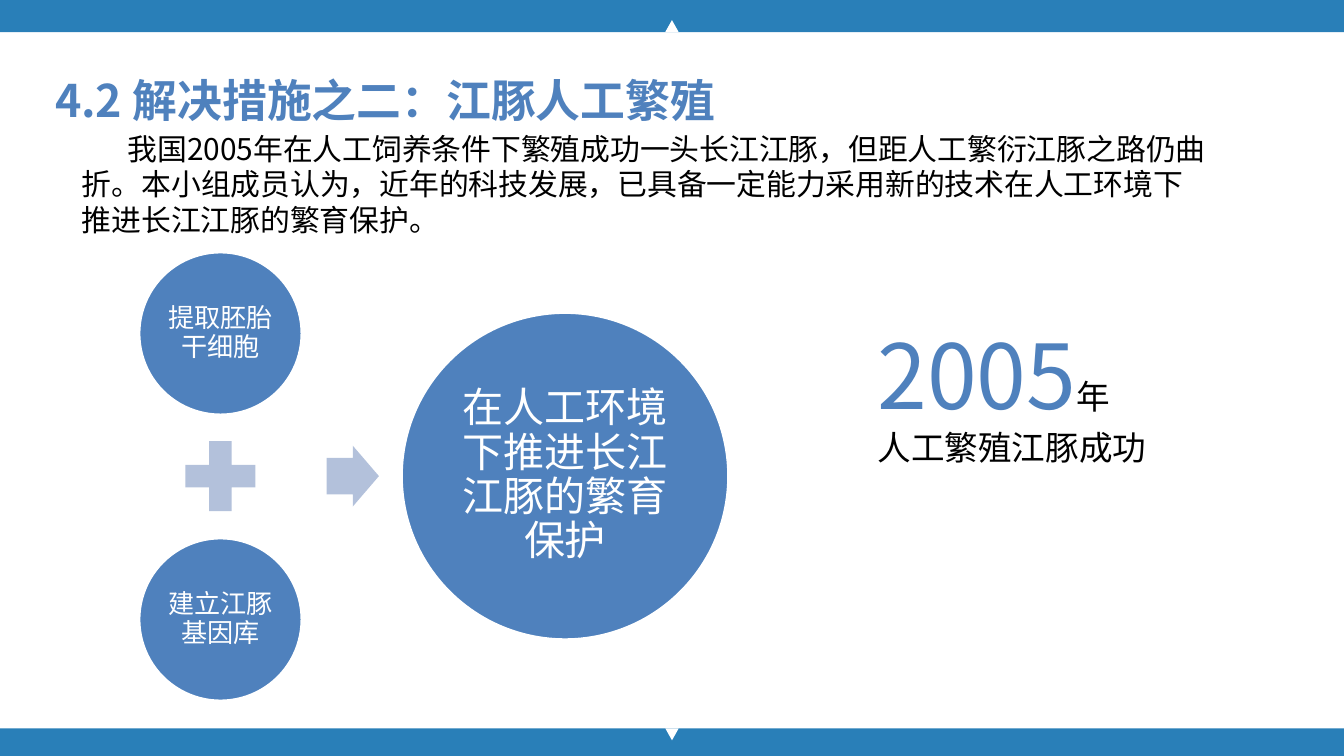
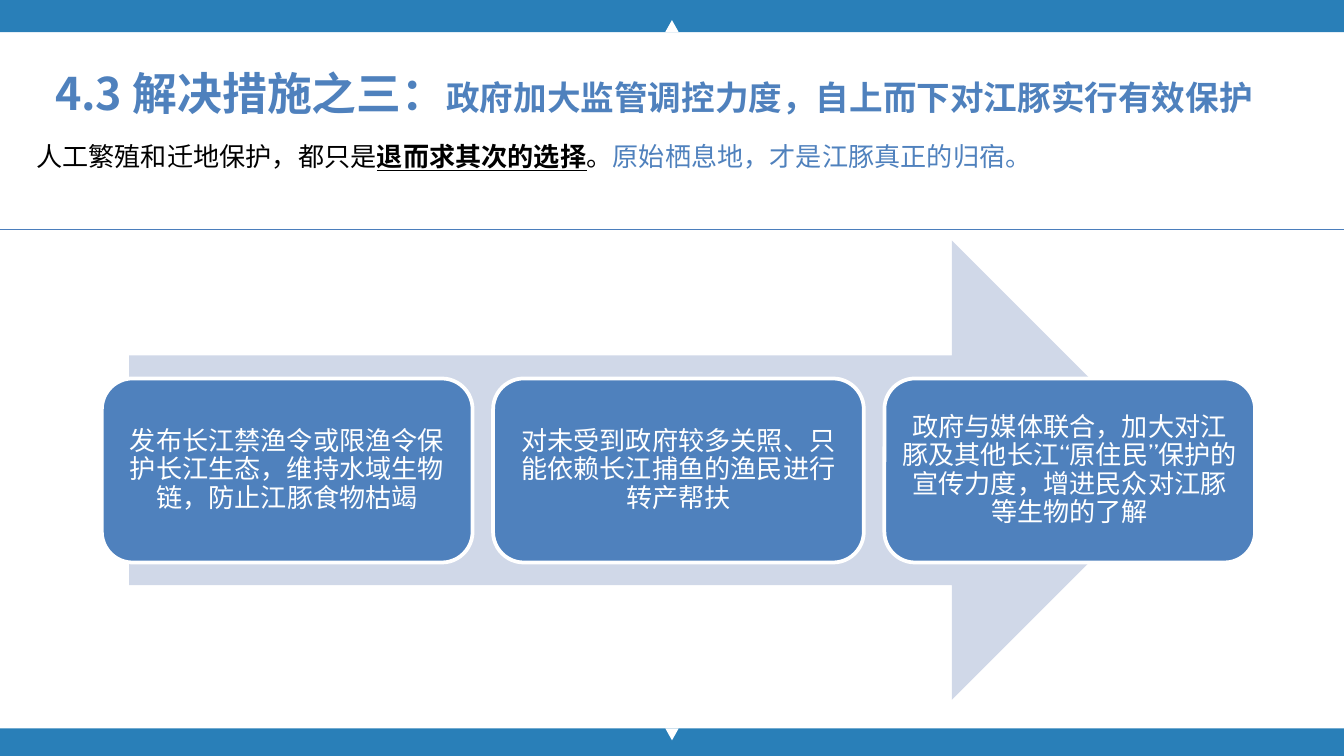
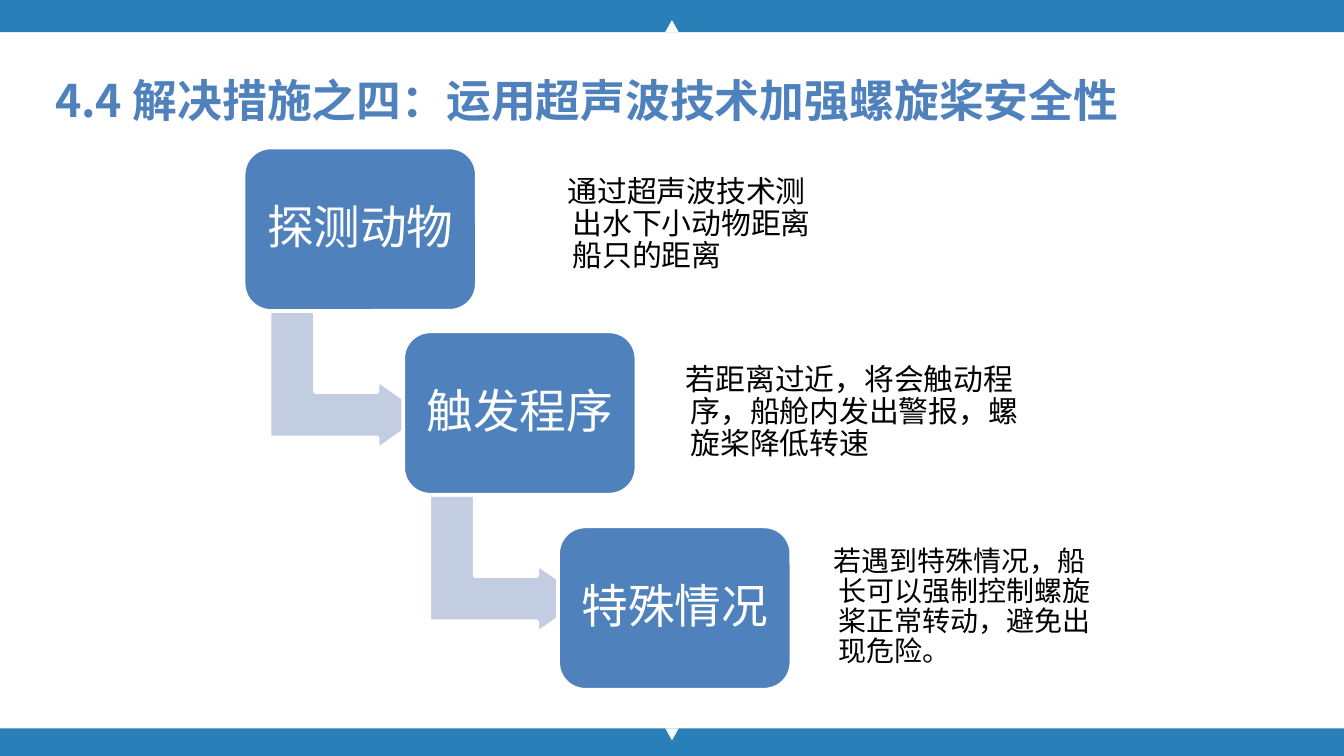
"""Build three slides on measures to protect the Yangtze finless porpoise."""
from lxml.etree import SubElement
from pptx import Presentation
from pptx.dml.color import RGBColor
from pptx.enum.shapes import MSO_CONNECTOR, MSO_SHAPE
from pptx.enum.text import MSO_ANCHOR, MSO_AUTO_SIZE, PP_ALIGN
from pptx.oxml.ns import qn
from pptx.util import Pt

COLORS = {
    "band": "297FB8", "blue": "4F81BD", "white": "FFFFFF", "black": "000000",
    "sign": "B3C1DB", "flow": "D0D8E8", "bend": "C2CDE1", "rule": "4B7EBC",
}
NOTO, CABIN = "Noto Sans CJK SC", "Cabin"
WIDTH, HEIGHT = 720, 405

TITLE = {"size": 24, "name": NOTO, "color": "blue", "bold": True}
SUBTITLE = {**TITLE, "size": 18}
INTRO = {"size": 16, "name": NOTO, "color": "black"}
LEAD = {"size": 14, "name": NOTO, "color": "black"}
NOTE = {"size": 18, "name": CABIN, "color": "black"}
LABEL = {"size": 14, "name": CABIN, "color": "white"}

BREEDING = {
    "title": [("4.2 解决措施之二：江豚人工繁殖", TITLE)],
    "title_box": (24.5, 36, 477.5, 34.5),
    "intro": [
        ("我国2005年在人工饲养条件下繁殖成功一头长江江豚，但距人工繁衍江豚之路仍曲折。", INTRO),
        ("本小组成员认为，近年的科技发展，已具备一定能力采用新的技术在人工环境下推进长江江豚的繁育保护。",
         {**INTRO, "name": CABIN}),
    ],
    "intro_box": (36.7, 66.2, 618, 68),
    "methods": ["提取胚胎干细胞", "建立江豚基因库"],
    "goal": "在人工环境下推进长江江豚的繁育保护",
    "milestone": [
        [("2005", {"size": 48, "name": NOTO, "color": "blue"}),
         ("年", {**NOTE, "name": NOTO})],
        [("人工繁殖江豚成功", NOTE)],
    ],
}
REGULATION = {
    "title": [("4.3 解决措施之三：", TITLE),
              ("政府加大监管调控力度，自上而下对江豚实行有效保护", SUBTITLE)],
    "title_box": (24.5, 32.4, 676, 34.5),
    "intro": [
        ("人工繁殖和迁地保护，都只是", LEAD),
        ("退而求其次的选择", {**LEAD, "bold": True, "underline": True}),
        ("。", LEAD),
        ("原始栖息地，才是江豚真正的归宿。", {**LEAD, "color": "blue"}),
    ],
    "intro_box": (14.4, 67, 671, 27.4),
    "actions": [
        "发布长江禁渔令或限渔令保护长江生态，维持水域生物链，防止江豚食物枯竭",
        "对未受到政府较多关照、只能依赖长江捕鱼的渔民进行转产帮扶",
        "政府与媒体联合，加大对江豚及其他长江“原住民”保护的宣传力度，增进民众对江豚等生物的了解",
    ],
}
ULTRASOUND = {
    "title": [("4.4 解决措施之四：运用超声波技术加强螺旋桨安全性", TITLE)],
    "title_box": (24.5, 36, 664.5, 63.4),
    "steps": [
        ("探测动物", (130.5, 79), "通过超声波技术测出水下小动物距离船只的距离",
         16, (293.8, 85, 154.8, 70.6), 4.3),
        ("触发程序", (216, 177.5), "若距离过近，将会触动程序，船舱内发出警报，螺旋桨降低转速",
         16, (357.1, 185.8, 199.4, 70.6), 4.3),
        ("特殊情况", (299, 282), "若遇到特殊情况，船长可以强制控制螺旋桨正常转动，避免出现危险。",
         15, (434.9, 277.2, 159, 96.5), 5.8),
    ],
}


def color(name):
    return RGBColor.from_string(COLORS[name])


def place(item, box):
    for side, value in zip(("left", "top", "width", "height"), box):
        setattr(item, side, Pt(value))


def set_frame(frame, insets, anchor=MSO_ANCHOR.TOP):
    frame.word_wrap = True
    frame.auto_size = MSO_AUTO_SIZE.NONE
    frame.vertical_anchor = anchor
    horizontal, vertical = insets
    for side, value in (("left", horizontal), ("right", horizontal),
                        ("top", vertical), ("bottom", vertical)):
        setattr(frame, f"margin_{side}", Pt(value))


def write(para, spans, align=PP_ALIGN.LEFT, spacing=1.0):
    para.alignment = align
    para.line_spacing = spacing
    para.space_before = Pt(0)
    for text, style in spans:
        span = para.add_run()
        span.text = text
        for key, value in style.items():
            if key == "color":
                span.font.color.rgb = color(value)
            else:
                setattr(span.font, key, Pt(value) if key == "size" else value)
        SubElement(span._r.get_or_add_rPr(), qn("a:ea"), typeface=style["name"])


def set_indent(para, left, first):
    properties = para._p.get_or_add_pPr()
    properties.set("marL", str(Pt(left)))
    properties.set("indent", str(Pt(first)))
    return properties


def add_shape(page, kind, box, fill, outlined=False, adjustments=(), rotation=0):
    shape = page.shapes.add_shape(kind, *map(Pt, box))
    shape.shadow.inherit = False
    shape.rotation = rotation
    shape.fill.solid()
    shape.fill.fore_color.rgb = color(fill)
    if outlined:
        shape.line.color.rgb = color("white")
        shape.line.width = Pt(2)
    else:
        shape.line.fill.background()
    for index, value in enumerate(adjustments):
        shape.adjustments[index] = value
    return shape


def add_node(page, kind, box, text, size=14, inset=1.4):
    shape = add_shape(page, kind, box, "blue", outlined=True)
    set_frame(shape.text_frame, (inset, inset), MSO_ANCHOR.MIDDLE)
    write(shape.text_frame.paragraphs[0], [(text, {**LABEL, "size": size})],
          PP_ALIGN.CENTER, 0.9)


def add_text_box(page, box, insets, anchor=MSO_ANCHOR.TOP):
    frame = page.shapes.add_textbox(*map(Pt, box)).text_frame
    set_frame(frame, insets, anchor)
    return frame


def add_page(deck, content):
    page = deck.slides.add_slide(deck.slide_layouts[1 if "intro" in content else 5])
    place(page.shapes.title, content["title_box"])
    frame = page.shapes.title.text_frame
    set_frame(frame, (5, 3))
    write(frame.paragraphs[0], content["title"])
    for band_top, band_height, notch_top, rotation in ((0, 17.2, 10.8, 0),
                                                       (390.2, HEIGHT - 390.2, 390.2, 180)):
        add_shape(page, MSO_SHAPE.RECTANGLE, (0, band_top, WIDTH, band_height), "band")
        add_shape(page, MSO_SHAPE.ISOSCELES_TRIANGLE,
                  (WIDTH / 2 - 3.6, notch_top, 7.2, 6.4), "white", rotation=rotation)
    return page


def fill_intro(page, content, insets, first=0, spacing=1.0):
    body = page.placeholders[1]
    place(body, content["intro_box"])
    set_frame(body.text_frame, insets)
    para = body.text_frame.paragraphs[0]
    SubElement(set_indent(para, 0, first), qn("a:buNone"))
    write(para, content["intro"], spacing=spacing)


def build_breeding(deck):
    page = add_page(deck, BREEDING)
    fill_intro(page, BREEDING, (7.2, 3.6), first=24.5)
    frame = add_text_box(page, (463, 167.8, 170, 87), (7.2, 3.6))
    for index, spans in enumerate(BREEDING["milestone"]):
        write(frame.add_paragraph() if index else frame.paragraphs[0], spans)
    for index, method in enumerate(BREEDING["methods"]):
        add_node(page, MSO_SHAPE.OVAL, (74.2, 134.8 + 153.2 * index, 87.8, 87.8), method)
    add_shape(page, MSO_SHAPE.MATH_PLUS, (92.6, 229.6, 51, 51), "sign")
    add_shape(page, MSO_SHAPE.RIGHT_ARROW, (175, 238.8, 28, 32.6), "sign",
              adjustments=(0.6, 0.5))
    add_node(page, MSO_SHAPE.OVAL, (214.8, 167.2, 175.8, 175.8), BREEDING["goal"], 22, 2)


def build_regulation(deck):
    page = add_page(deck, REGULATION)
    fill_intro(page, REGULATION, (5, 3), spacing=1.3)
    add_shape(page, MSO_SHAPE.RIGHT_ARROW, (69.2, 128.8, 563.8, 246.2), "flow")
    for index, action in enumerate(REGULATION["actions"]):
        add_node(page, MSO_SHAPE.ROUNDED_RECTANGLE,
                 (54.6 + 209.6 * index, 202.8, 198.6, 98.6), action, inset=4.2)
    rule = page.shapes.add_connector(MSO_CONNECTOR.STRAIGHT, 0, Pt(123), Pt(WIDTH), Pt(123))
    rule.line.color.rgb = color("rule")
    rule.line.width = Pt(0.75)
    SubElement(rule._element.spPr, qn("a:effectLst"))


def build_ultrasound(deck):
    page = add_page(deck, ULTRASOUND)
    steps = ULTRASOUND["steps"]
    for index, (label, (left, top), detail, size, detail_box, inset) in enumerate(steps):
        if index < len(steps) - 1:
            add_shape(page, MSO_SHAPE.BENT_UP_ARROW, (left + 19, top + 82.5, 74.2, 84.4),
                      "bend", True, (0.328, 0.25, 0.358), 90)
        add_node(page, MSO_SHAPE.ROUNDED_RECTANGLE, (left, top, 125, 87.6), label, 25, 7)
        frame = add_text_box(page, detail_box, (inset, inset), MSO_ANCHOR.MIDDLE)
        para = frame.paragraphs[0]
        set_indent(para, 8.6, -2.6)
        write(para, [(detail, {**NOTE, "size": size})], spacing=0.9)


def main():
    deck = Presentation()
    deck.slide_width, deck.slide_height = Pt(WIDTH), Pt(HEIGHT)
    for build in (build_breeding, build_regulation, build_ultrasound):
        build(deck)
    deck.save("out.pptx")


if __name__ == "__main__":
    main()
